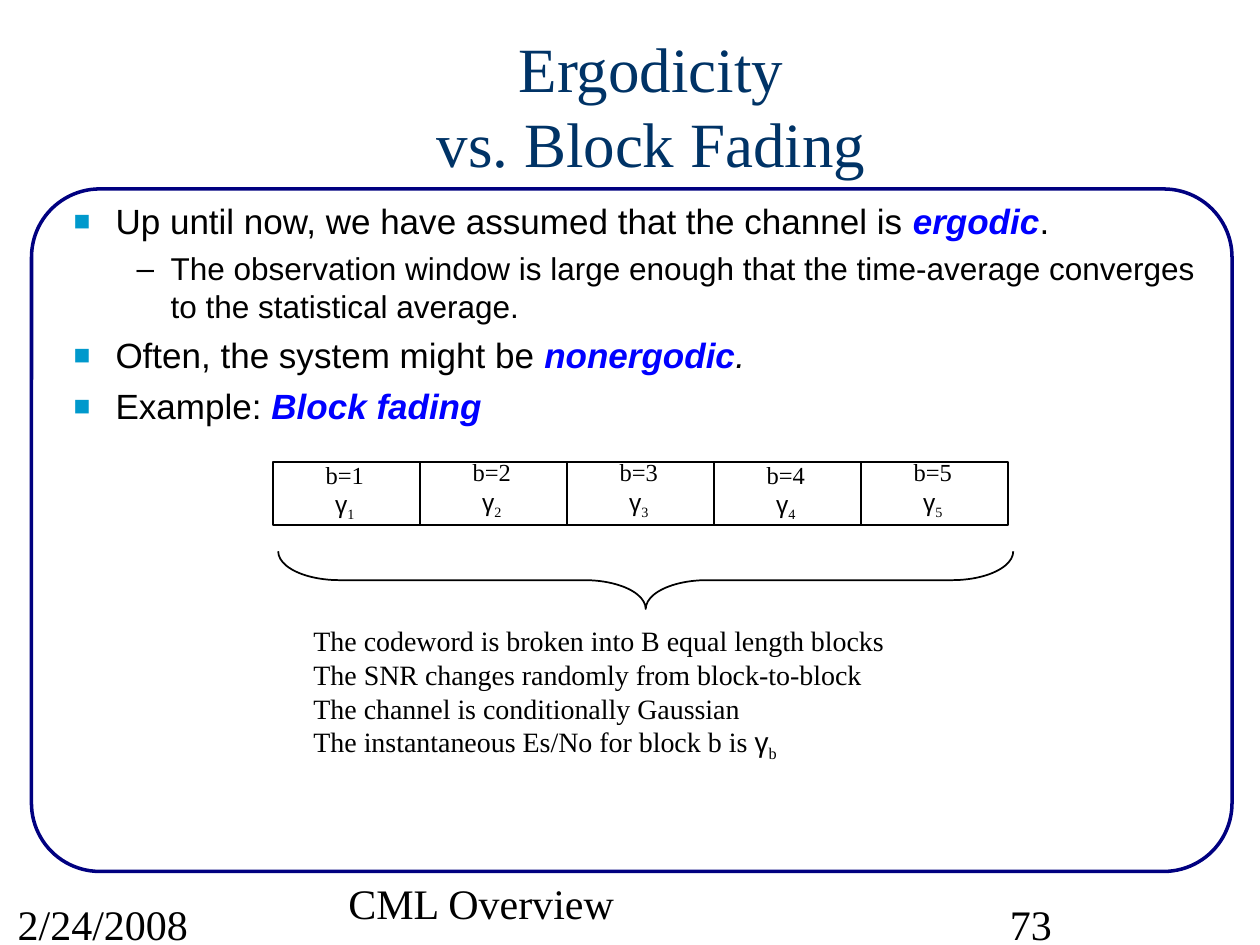
import pptx
import pptx.util
from lxml import etree
from pptx.dml.color import RGBColor
from pptx.enum.shapes import MSO_SHAPE
from pptx.enum.text import MSO_ANCHOR, MSO_AUTO_SIZE, PP_ALIGN
from pptx.oxml.ns import qn

Pt = pptx.util.Pt

BLACK = RGBColor(0x00, 0x00, 0x00)
NAVY = RGBColor(0x00, 0x00, 0x80)
TITLE_BLUE = RGBColor(0x00, 0x33, 0x66)
BLUE = RGBColor(0x00, 0x00, 0xFF)
TEAL = RGBColor(0x00, 0x99, 0xCC)
SERIF, SANS = "Times New Roman", "Arial"

TITLE = "Ergodicity\vvs. Block Fading"

# Run styles: font changes on top of the paragraph's own font
PLAIN = {}
KEY = {"color": BLUE, "bold": True, "italic": True}
ITALIC = {"italic": True}
GREEK = {"name": SANS}
SUB = {"baseline": -25000}

# (level, runs)
BULLETS = [
    (0, [("Up until now, we have assumed that the channel is ", PLAIN),
         ("ergodic", KEY), (".", PLAIN)]),
    (1, [("The observation window is large enough that the time-average "
          "converges to the statistical average.", PLAIN)]),
    (0, [("Often, the system might be ", PLAIN), ("nonergodic", KEY),
         (".", ITALIC)]),
    (0, [("Example: ", PLAIN), ("Block fading", KEY)]),
]
# Per level: character, colour, size %, left margin, hanging, space before, font size
LEVELS = [("■", TEAL, 80, 24, 24, 5, 20), ("–", BLACK, 100, 55.5, 19.5, 4.5, 18)]

BLOCK_LABEL_TOPS = [259.2, 257.8, 257.8, 259.2, 257.8]
NOTES = [
    [("The codeword is broken into B equal length blocks", PLAIN)],
    [("The SNR changes randomly from block-to-block", PLAIN)],
    [("The channel is conditionally Gaussian", PLAIN)],
    [("The instantaneous Es/No for block b is ", PLAIN), ("γ", GREEK), ("b", SUB)],
]
# (text, left, top, width)
FOOTERS = [
    ("CML Overview", 192, 498, 309),
    ("73", 570, 510, 147),
    ("2/24/2008", 3, 510, 147),
]

BLOCK_LEFT, BLOCK_TOP, BLOCK_W, BLOCK_H = 156, 264, 84, 36
LABEL_LEFT, LABEL_W, LABEL_H = 177, 40, 43


def add_runs(p, runs, size, name=SERIF):
    for text, style in runs:
        r = p.add_run()
        r.text = text
        r.font.size = Pt(size)
        r.font.name = style.get("name", name)
        r.font.color.rgb = style.get("color", BLACK)
        r.font.bold = style.get("bold", False)
        r.font.italic = style.get("italic", False)
        if "baseline" in style:
            r.font._element.set("baseline", str(style["baseline"]))


def add_text(s, box, lines, size, align=PP_ALIGN.LEFT, wrap=False):
    tf = s.shapes.add_textbox(*map(Pt, box)).text_frame
    tf.word_wrap = wrap
    if not wrap:
        tf.auto_size = MSO_AUTO_SIZE.SHAPE_TO_FIT_TEXT
    for i, runs in enumerate(lines):
        p = tf.paragraphs[0] if i == 0 else tf.add_paragraph()
        p.alignment = align
        add_runs(p, runs, size)


def add_outline(s, shape_type, box, color, width):
    sp = s.shapes.add_shape(shape_type, *map(Pt, box))
    sp.shadow.inherit = False
    sp.fill.background()
    sp.line.color.rgb = color
    sp.line.width = Pt(width)
    return sp


def set_bullet(p, char, color, percent, margin, hanging):
    pPr = p._p.get_or_add_pPr()
    pPr.set("marL", str(Pt(margin)))
    pPr.set("indent", str(-Pt(hanging)))
    clr = etree.SubElement(pPr, qn("a:buClr"))
    etree.SubElement(clr, qn("a:srgbClr"), val=str(color))
    etree.SubElement(pPr, qn("a:buSzPct"), val=str(percent * 1000))
    etree.SubElement(pPr, qn("a:buFont"), typeface=SANS)
    etree.SubElement(pPr, qn("a:buChar"), char=char)


def add_title(s):
    sp = s.shapes.title
    sp.left, sp.top, sp.width, sp.height = map(Pt, (66, 13, 612, 93.6))
    tf = sp.text_frame
    tf.text = TITLE
    tf.word_wrap = True
    tf.auto_size = MSO_AUTO_SIZE.NONE
    tf.vertical_anchor = MSO_ANCHOR.MIDDLE
    p = tf.paragraphs[0]
    p.alignment = PP_ALIGN.CENTER
    for r in p.runs:
        r.font.size = Pt(36)
        r.font.name = SERIF
        r.font.color.rgb = TITLE_BLUE


def add_bullets(s):
    tf = s.shapes.add_textbox(Pt(42), Pt(114), Pt(660), Pt(396)).text_frame
    tf.word_wrap = True
    tf.margin_left = tf.margin_top = tf.margin_right = tf.margin_bottom = 0
    for i, (level, runs) in enumerate(BULLETS):
        p = tf.paragraphs[0] if i == 0 else tf.add_paragraph()
        *bullet, before, size = LEVELS[level]
        p.level = level
        set_bullet(p, *bullet)
        p.space_before = Pt(before if i else 0)
        add_runs(p, runs, size, SANS)


def add_blocks(s):
    for i, top in enumerate(BLOCK_LABEL_TOPS):
        add_outline(s, MSO_SHAPE.RECTANGLE,
                    (BLOCK_LEFT + i * BLOCK_W, BLOCK_TOP, BLOCK_W, BLOCK_H), BLACK, 1)
        n = str(i + 1)
        label = [[("b=" + n, PLAIN)], [("γ", GREEK), (n, SUB)]]
        add_text(s, (LABEL_LEFT + i * BLOCK_W, top, LABEL_W, LABEL_H),
                 label, 14, PP_ALIGN.CENTER)
    brace = add_outline(s, MSO_SHAPE.LEFT_BRACE, (352.5, 121.5, 33, 420), BLACK, 1)
    brace.rotation = 270
    brace.adjustments[0] = 1.06


def main():
    prs = pptx.Presentation()
    prs.slide_width, prs.slide_height = Pt(720), Pt(540)
    s = prs.slides.add_slide(prs.slide_layouts[5])
    frame = add_outline(s, MSO_SHAPE.ROUNDED_RECTANGLE, (18, 108, 686, 390), NAVY, 2)
    frame.adjustments[0] = 0.1
    add_title(s)
    add_bullets(s)
    add_blocks(s)
    add_text(s, (172, 353, 340.5, 87), NOTES, 16)
    for text, left, top, width in FOOTERS:
        add_text(s, (left, top, width, 36), [[(text, PLAIN)]], 24, wrap=True)
    prs.save("out.pptx")


if __name__ == "__main__":
    main()
